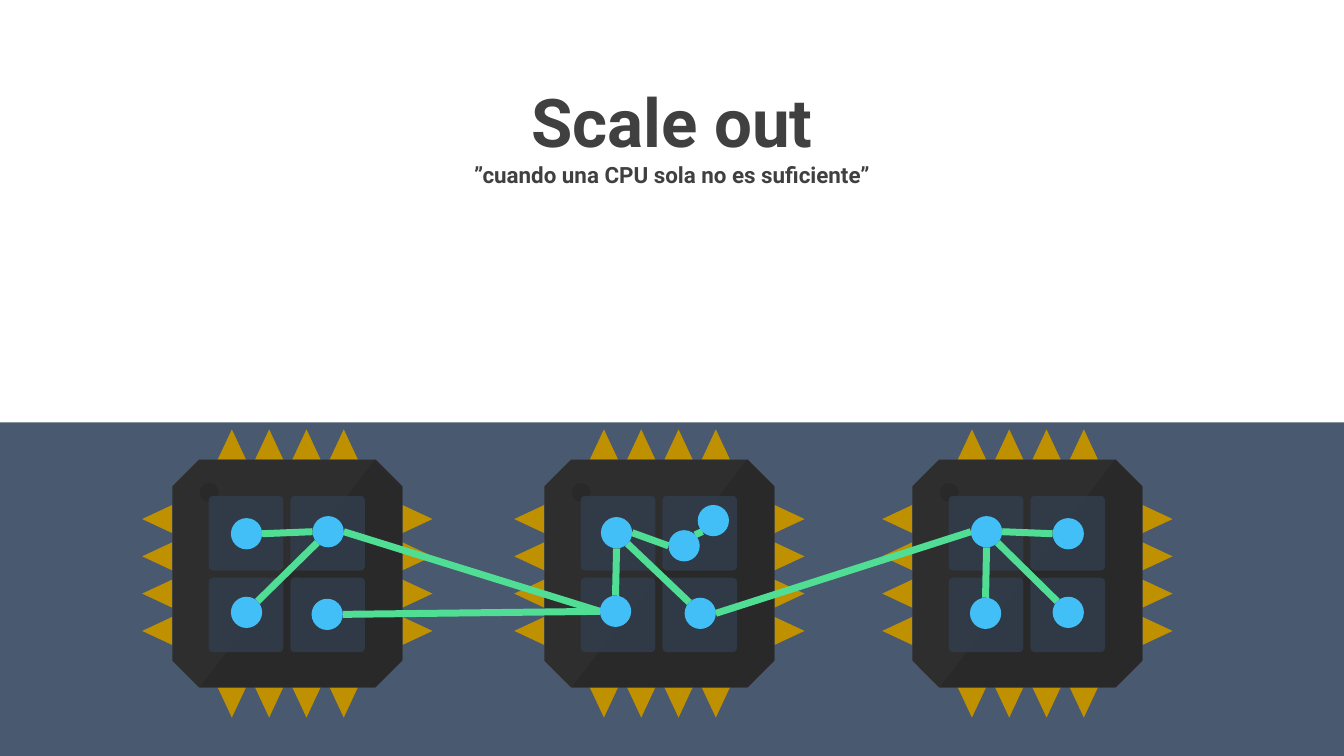
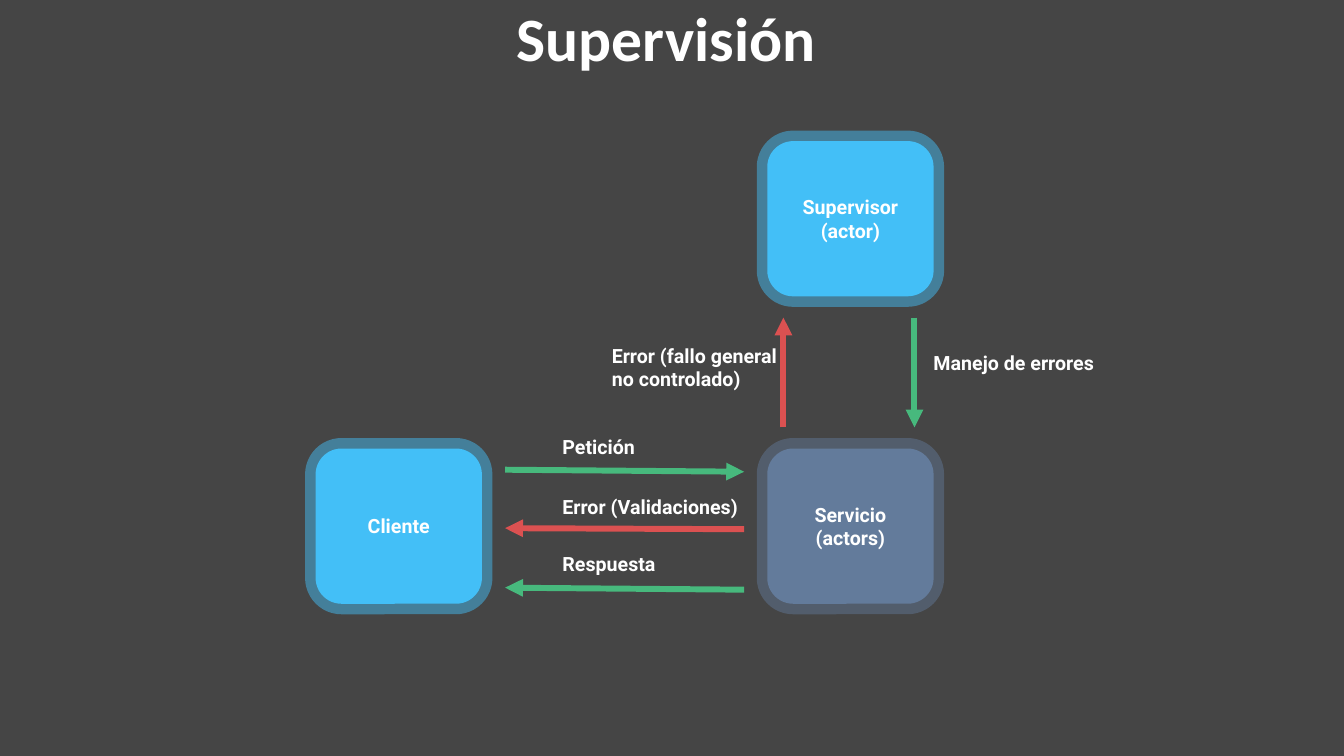
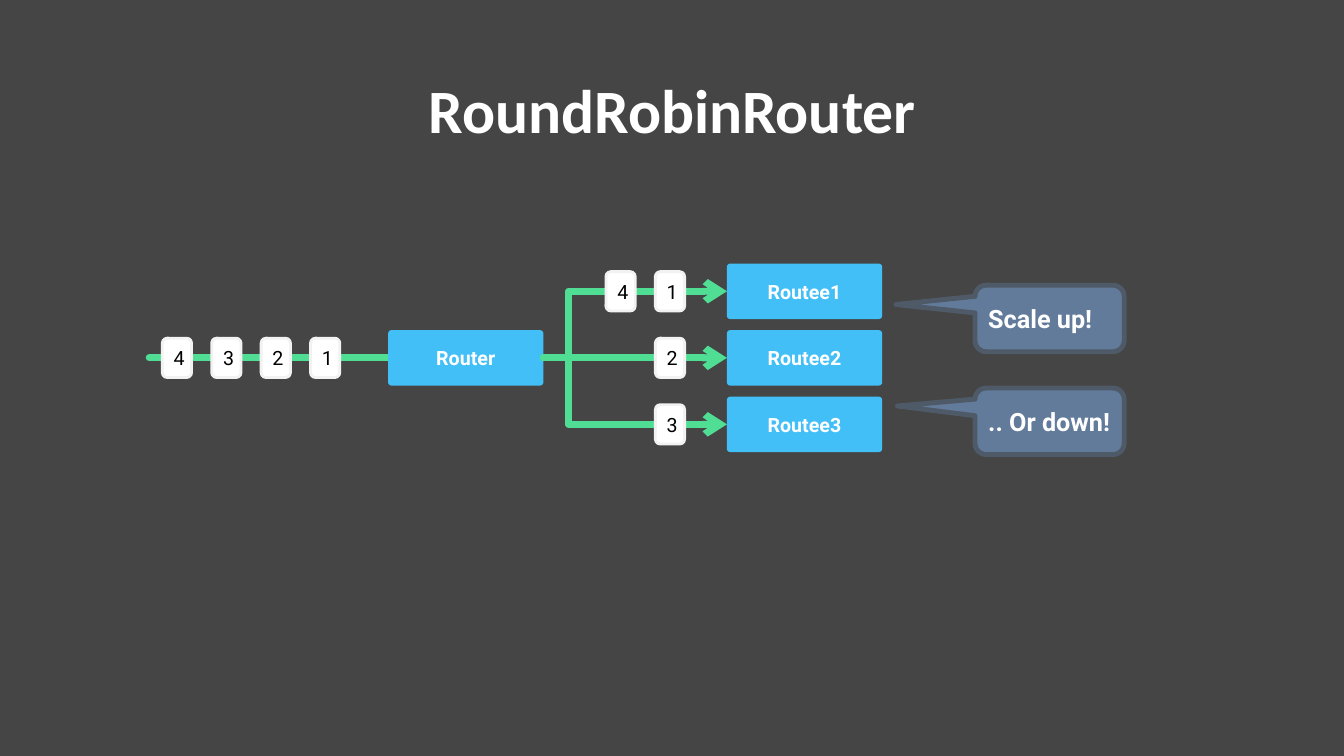
from lxml import etree
from pptx import Presentation
from pptx.dml.color import RGBColor
from pptx.enum.shapes import MSO_CONNECTOR, MSO_SHAPE
from pptx.enum.text import MSO_ANCHOR, PP_ALIGN
from pptx.oxml.ns import qn
from pptx.util import Inches, Pt

RECT, OVAL, OCTAGON = MSO_SHAPE.RECTANGLE, MSO_SHAPE.OVAL, MSO_SHAPE.OCTAGON
ROUNDED, CALLOUT = MSO_SHAPE.ROUNDED_RECTANGLE, MSO_SHAPE.ROUNDED_RECTANGULAR_CALLOUT
STRAIGHT, ELBOW = MSO_CONNECTOR.STRAIGHT, MSO_CONNECTOR.ELBOW
LEFT, CENTER = PP_ALIGN.LEFT, PP_ALIGN.CENTER
TOP, MIDDLE = MSO_ANCHOR.TOP, MSO_ANCHOR.MIDDLE

WHITE, BLACK, INK = "FFFFFF", "000000", "404040"
NAVY, CHARCOAL = "485970", "454545"
BLUE, SLATE, SLATE_EDGE = "43BFF7", "637B9B", "4F5A69"
MINT, GREEN, RED = "50DE94", "47B97D", "DB5151"
GOLD, CHIP, CHIP_SHADE, CORE = "BF9000", "2E2E2E", "292929", "333F50"
CARD_EDGE = "F2F2F2"

LABEL = {"name": "Roboto", "size": Pt(14), "bold": True, "color": WHITE}
TITLE = {**LABEL, "name": "Calibri", "size": Pt(44)}
BUBBLE = {**LABEL, "size": Pt(18)}
CARD = {**LABEL, "bold": False, "color": BLACK}
HEADING = {**LABEL, "size": Pt(48), "color": INK}
SUBHEADING = {**HEADING, "size": Pt(16)}

# Slide 1: processors and the actors that run on them
CHIP_LEFTS, CHIP_TOP, CHIP_W, CHIP_H = (9.05, 5.4, 1.71), 4.56, 2.28, 2.26
PIN_COUNT, PIN_FIRST, PIN_PITCH, PIN_HALF, PIN_LENGTH = 4, 0.59, 0.37, 0.14, 0.3
CORE_SIZE, CORE_FIRST, CORE_PITCH = 0.74, 0.36, 0.81
NODE = 0.31
NODES = {
    "a1": (2.29, 5.14), "a2": (3.1, 5.12), "a3": (2.29, 5.92), "a4": (3.09, 5.94),
    "b1": (5.96, 5.13), "b2": (6.63, 5.26), "b3": (6.92, 5.01),
    "b4": (5.95, 5.91), "b5": (6.79, 5.93),
    "c1": (9.63, 5.12), "c2": (10.44, 5.14), "c3": (9.62, 5.93), "c4": (10.44, 5.92),
}
LINKS = [
    ("c1", "W", "b5", "E"), ("b4", "W", "a2", "E"), ("b4", "W", "a4", "E"),
    ("b1", "S", "b4", "N"), ("a2", "W", "a1", "E"), ("a2", "SW", "a3", "NE"),
    ("c1", "S", "c3", "N"), ("c1", "SE", "c4", "NW"), ("b1", "SE", "b5", "NW"),
    ("c1", "E", "c2", "W"), ("b2", "W", "b1", "E"), ("b2", "NE", "b3", "SW"),
]
SIDES = {"N": (0.5, 0), "S": (0.5, 1), "W": (0, 0.5), "E": (1, 0.5),
         "NW": (0.15, 0.15), "NE": (0.85, 0.15), "SW": (0.15, 0.85), "SE": (0.85, 0.85)}

# Slide 2: actors, messages (start, end, colour) and their labels
ACTORS = [
    (["Servicio", "(actors)"], 7.61, 4.45, SLATE, 46),
    (["Supervisor", "(actor)"], 7.61, 1.4, BLUE, 48),
    (["Cliente"], 3.13, 4.45, BLUE, 48),
]
MESSAGES = [
    ((5.01, 4.66), (7.38, 4.68), GREEN),
    ((7.38, 5.25), (5.01, 5.24), RED),
    ((7.38, 5.85), (5.01, 5.83), GREEN),
    ((7.77, 4.24), (7.77, 3.15), RED),
    ((9.07, 3.15), (9.07, 4.24), GREEN),
]
MESSAGE_LABELS = [
    ("Petición", 5.48, 4.27),
    ("Error (Validaciones)", 5.48, 4.86),
    ("Respuesta", 5.48, 5.43),
    ("Error (fallo general no controlado)", 5.97, 3.36),
    ("Manejo de errores", 9.16, 3.43),
]

# Slide 3: router, the queues of numbered cards and the bubbles
BOX_W, BOX_H, ROUTER_LEFT, ROUTEE_LEFT = 1.54, 0.55, 3.85, 7.21
MID_Y, ROW_PITCH = 3.55, 0.66
CARD_W, CARD_H, CARD_PITCH = 0.29, 0.39, 0.49
INBOX = ["4", "3", "2", "1"]
INBOX_LEFT, QUEUE_RIGHT = 1.61, 6.5
ROUTEES = [("Routee1", ["1", "4"]), ("Routee2", ["2"]), ("Routee3", ["3"])]
BUBBLES = [
    ("Scale up!", 2.83, (-1.03, -0.21, 0.17)),
    (".. Or down!", 3.85, (-1.02, -0.23, 0.17)),
]


def rgb(color):
    return RGBColor.from_string(color)


def inches(*values):
    return [Inches(v) for v in values]


def new_slide(prs, background):
    s = prs.slides.add_slide(prs.slide_layouts[6])
    s.background.fill.solid()
    s.background.fill.fore_color.rgb = rgb(background)
    return s


def write(shape, lines, align, anchor):
    """Put (text, format) lines in a shape, one paragraph each."""
    tf = shape.text_frame
    tf.word_wrap = True
    tf.vertical_anchor = anchor
    for i, (text, fmt) in enumerate(lines):
        p = tf.add_paragraph() if i else tf.paragraphs[0]
        p.alignment = align
        r = p.add_run()
        r.text = text
        for key, value in fmt.items():
            if key == "color":
                r.font.color.rgb = rgb(value)
            else:
                setattr(r.font, key, value)


def paint(shape, fill, line=None, width=0):
    shape.shadow.inherit = False
    shape.fill.solid()
    shape.fill.fore_color.rgb = rgb(fill)
    if line:
        shape.line.color.rgb = rgb(line)
        shape.line.width = Pt(width)
    else:
        shape.line.fill.background()


def add_shape(s, kind, box, fill, line=None, width=0, adj=()):
    shape = s.shapes.add_shape(kind, *inches(*box))
    for i, value in enumerate(adj):
        shape.adjustments[i] = value
    paint(shape, fill, line, width)
    return shape


def set_alpha(shape, fill_tag, percent):
    """Make the solid fill at fill_tag (below spPr) partly transparent."""
    steps = [qn(tag) for tag in fill_tag.split("/")] + [qn("a:srgbClr")]
    color = shape._element.spPr.find("/".join(steps))
    etree.SubElement(color, qn("a:alpha"), val=str(percent * 1000))


def add_outline(s, contours, fill):
    """Draw closed polygons, given in inches, as one freeform."""
    first, *others = [[tuple(inches(*pt)) for pt in c] for c in contours]
    builder = s.shapes.build_freeform(*first[0], scale=1.0)
    builder.add_line_segments(first[1:], close=True)
    for contour in others:
        builder.move_to(*contour[0])
        builder.add_line_segments(contour[1:], close=True)
    paint(builder.convert_to_shape(), fill)


def add_line(s, start, end, color, width, head=None, kind=STRAIGHT, bend=None, cap="flat"):
    con = s.shapes.add_connector(kind, *inches(*start, *end))
    con.line.color.rgb = rgb(color)
    con.line.width = Pt(width)
    sp_pr = con._element.spPr
    ln = sp_pr.find(qn("a:ln"))
    ln.set("cap", cap)
    etree.SubElement(ln, qn("a:round"))
    if head:
        etree.SubElement(ln, qn("a:tailEnd"), type=head)
    etree.SubElement(sp_pr, qn("a:effectLst"))
    if bend is not None:
        guides = sp_pr.find(qn("a:prstGeom")).find(qn("a:avLst"))
        etree.SubElement(guides, qn("a:gd"), name="adj1", fmla=f"val {round(bend * 100000)}")


def add_title(s, text, left, top, height):
    box = s.shapes.add_textbox(*inches(left, top, 11.5, height))
    write(box, [(text, TITLE)], CENTER, MIDDLE)
    box.text_frame.paragraphs[0].line_spacing = 0.9


def add_chip(s, left):
    right, bottom = left + CHIP_W, CHIP_TOP + CHIP_H
    pins = []
    for i in range(PIN_COUNT):
        x = left + PIN_FIRST + i * PIN_PITCH
        y = CHIP_TOP + PIN_FIRST + i * PIN_PITCH
        for base, out in ((CHIP_TOP, -PIN_LENGTH), (bottom, PIN_LENGTH)):
            pins.append([(x - PIN_HALF, base), (x + PIN_HALF, base), (x, base + out)])
        for base, out in ((left, -PIN_LENGTH), (right, PIN_LENGTH)):
            pins.append([(base, y - PIN_HALF), (base, y + PIN_HALF), (base + out, y)])
    add_outline(s, pins, GOLD)
    add_shape(s, OCTAGON, (left, CHIP_TOP, CHIP_W, CHIP_H), CHIP, adj=[0.117])
    cut = 0.27
    add_outline(s, [[(left + cut, bottom), (right - cut, CHIP_TOP), (right, CHIP_TOP + cut),
                     (right, bottom - cut), (right - cut, bottom)]], CHIP_SHADE)
    add_shape(s, OVAL, (left + cut, CHIP_TOP + 0.23, 0.19, 0.19), CHIP_SHADE)
    for row in range(2):
        for col in range(2):
            core = add_shape(s, ROUNDED, (left + CORE_FIRST + col * CORE_PITCH,
                                          CHIP_TOP + CORE_FIRST + row * CORE_PITCH,
                                          CORE_SIZE, CORE_SIZE), CORE, adj=[0.06])
            set_alpha(core, "a:solidFill", 75)


def node_point(name, side):
    return [at + NODE * part for at, part in zip(NODES[name], SIDES[side])]


def build_scale_out(prs):
    s = new_slide(prs, NAVY)
    for left in CHIP_LEFTS:
        add_chip(s, left)
    for start, start_side, end, end_side in LINKS:
        add_line(s, node_point(start, start_side), node_point(end, end_side), MINT, 5)
    for left, top in NODES.values():
        add_shape(s, OVAL, (left, top, NODE, NODE), BLUE)
    band = add_shape(s, RECT, (0, 0, 13.33, 4.19), WHITE)
    write(band, [("Scale out", HEADING),
                 ("”cuando una CPU sola no es suficiente”", SUBHEADING)], CENTER, TOP)
    band.text_frame.margin_top = Inches(0.8)


def build_supervision(prs):
    s = new_slide(prs, CHARCOAL)
    for lines, left, top, color, alpha in ACTORS:
        actor = add_shape(s, ROUNDED, (left, top, 1.65, 1.54), color, color, 15)
        set_alpha(actor, "a:ln/a:solidFill", alpha)
        write(actor, [(text, LABEL) for text in lines], CENTER, MIDDLE)
    for start, end, color in MESSAGES:
        add_line(s, start, end, color, 4.25, "triangle")
    for text, left, top in MESSAGE_LABELS:
        box = s.shapes.add_textbox(*inches(left, top, 2.07, 0.34))
        write(box, [(text, LABEL)], LEFT, TOP)
    add_title(s, "Supervisión", 0.86, 0, 0.83)


def add_box(s, text, left, mid_y):
    box = add_shape(s, ROUNDED, (left, mid_y - BOX_H / 2, BOX_W, BOX_H), BLUE, adj=[0.06])
    write(box, [(text, LABEL)], CENTER, MIDDLE)


def add_cards(s, numbers, left, mid_y, pitch):
    for i, number in enumerate(numbers):
        card = add_shape(s, ROUNDED, (left + i * pitch, mid_y - CARD_H / 2, CARD_W, CARD_H),
                         WHITE, CARD_EDGE, 2)
        write(card, [(number, CARD)], CENTER, MIDDLE)


def build_router(prs):
    s = new_slide(prs, CHARCOAL)
    add_title(s, "RoundRobinRouter", 0.92, 0.4, 1.45)
    add_line(s, (1.48, MID_Y), (ROUTER_LEFT, MID_Y), MINT, 5, cap="rnd")
    add_cards(s, INBOX, INBOX_LEFT, MID_Y, CARD_PITCH)
    add_box(s, "Router", ROUTER_LEFT, MID_Y)
    for i, (name, queue) in enumerate(ROUTEES):
        y = MID_Y + (i - 1) * ROW_PITCH
        straight = y == MID_Y
        add_line(s, (ROUTER_LEFT + BOX_W, MID_Y), (ROUTEE_LEFT, y), MINT, 5, "arrow",
                 STRAIGHT if straight else ELBOW, None if straight else 0.135, "rnd")
        add_cards(s, queue, QUEUE_RIGHT, y, -CARD_PITCH)
        add_box(s, name, ROUTEE_LEFT, y)
    for text, top, adj in BUBBLES:
        bubble = add_shape(s, CALLOUT, (9.67, top, 1.48, 0.66), SLATE, SLATE_EDGE, 3.5, adj)
        write(bubble, [(text, BUBBLE)], LEFT, MIDDLE)


def main():
    prs = Presentation()
    prs.slide_width, prs.slide_height = inches(13.33, 7.5)
    build_scale_out(prs)
    build_supervision(prs)
    build_router(prs)
    prs.save("out.pptx")


if __name__ == "__main__":
    main()
